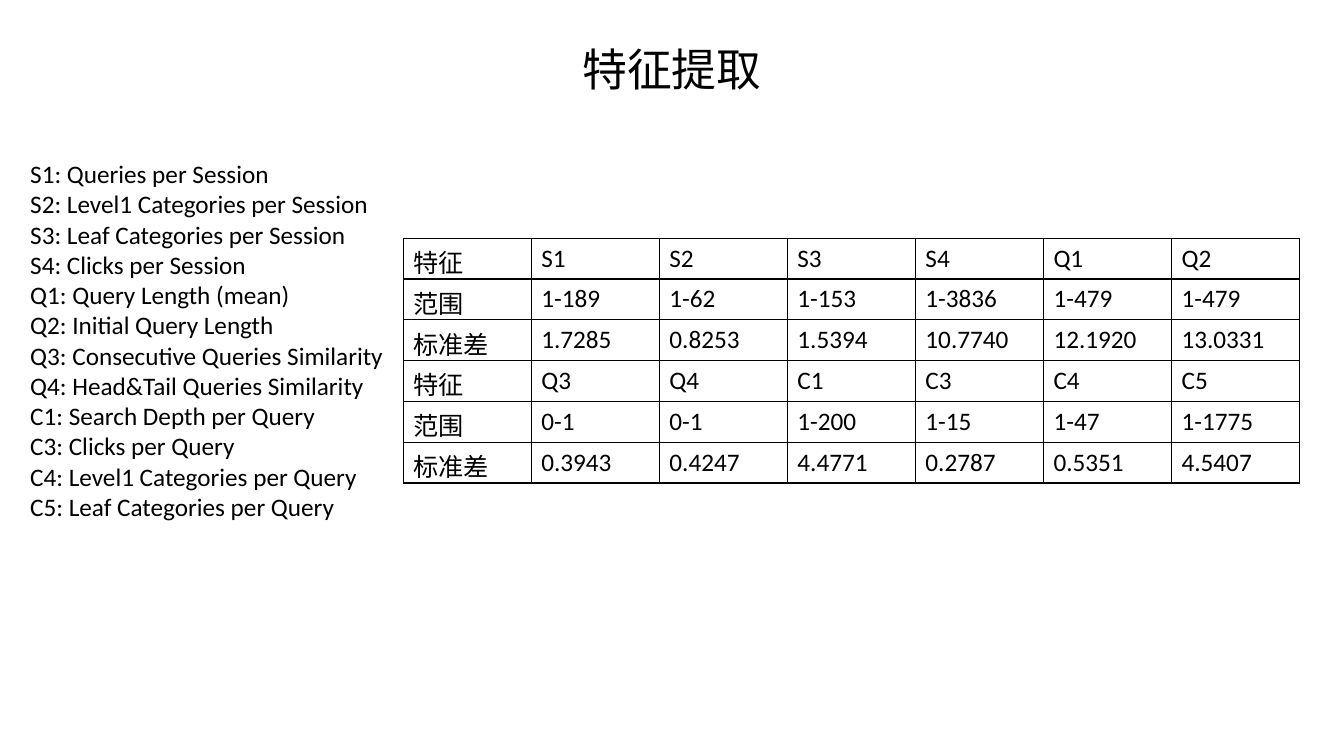
from lxml import etree
from pptx import Presentation
from pptx.dml.color import RGBColor
from pptx.enum.text import MSO_ANCHOR, MSO_AUTO_SIZE, PP_ALIGN
from pptx.oxml.ns import qn
from pptx.util import Inches, Pt

LEFT, CENTER = PP_ALIGN.LEFT, PP_ALIGN.CENTER
TOP = MSO_ANCHOR.TOP
GROW = MSO_AUTO_SIZE.SHAPE_TO_FIT_TEXT

COLORS = {"text": "000000", "border": "000000"}
WIDTH, HEIGHT = Inches(13.33), Inches(7.5)

FEATURES = [
    "S1: Queries per Session",
    "S2: Level1 Categories per Session",
    "S3: Leaf Categories per Session",
    "S4: Clicks per Session",
    "Q1: Query Length (mean)",
    "Q2: Initial Query Length",
    "Q3: Consecutive Queries Similarity",
    "Q4: Head&Tail Queries Similarity",
    "C1: Search Depth per Query",
    "C3: Clicks per Query",
    "C4: Level1 Categories per Query",
    "C5: Leaf Categories per Query",
]
STATISTICS = [
    ["特征", "S1", "S2", "S3", "S4", "Q1", "Q2"],
    ["范围", "1-189", "1-62", "1-153", "1-3836", "1-479", "1-479"],
    ["标准差", "1.7285", "0.8253", "1.5394", "10.7740", "12.1920", "13.0331"],
    ["特征", "Q3", "Q4", "C1", "C3", "C4", "C5"],
    ["范围", "0-1", "0-1", "1-200", "1-15", "1-47", "1-1775"],
    ["标准差", "0.3943", "0.4247", "4.4771", "0.2787", "0.5351", "4.5407"],
]


def area(left, top, width, height):
    """Turn shares of the slide into lengths."""
    return (round(left * WIDTH), round(top * HEIGHT),
            round(width * WIDTH), round(height * HEIGHT))


def write(frame, lines, size=18, font="Calibri", color="text", align=LEFT):
    """Fill a text frame with one plain paragraph per line."""
    for index, line in enumerate(lines):
        paragraph = frame.paragraphs[0] if index == 0 else frame.add_paragraph()
        properties = paragraph._p.get_or_add_pPr()
        properties.set("marL", "0")
        properties.set("indent", "0")
        etree.SubElement(properties, qn("a:buNone"))
        paragraph.alignment = align
        paragraph.space_before = Pt(0)
        run = paragraph.add_run()
        run.text = line
        run.font.size = Pt(size)
        run.font.name = font
        run.font.color.rgb = RGBColor.from_string(COLORS[color])


def fill_placeholder(placeholder, place, lines, **text_format):
    placeholder.left, placeholder.top, placeholder.width, placeholder.height = place
    frame = placeholder.text_frame
    frame.word_wrap = False
    frame.auto_size = GROW
    frame.vertical_anchor = TOP
    write(frame, lines, **text_format)


def outline_cell(cell, points=1):
    properties = cell._tc.get_or_add_tcPr()
    for side in ("lnL", "lnR", "lnT", "lnB"):
        line = etree.SubElement(properties, qn(f"a:{side}"), w=str(Pt(points)))
        fill = etree.SubElement(line, qn("a:solidFill"))
        etree.SubElement(fill, qn("a:srgbClr"), val=COLORS["border"])


def add_grid(slide, place, rows):
    table = slide.shapes.add_table(len(rows), len(rows[0]), *place).table
    table.first_row = table.horz_banding = False
    for row_index, row in enumerate(rows):
        for column_index, value in enumerate(row):
            cell = table.cell(row_index, column_index)
            outline_cell(cell)
            cell.fill.background()
            write(cell.text_frame, [value])


def main():
    presentation = Presentation()
    presentation.slide_width, presentation.slide_height = WIDTH, HEIGHT
    slide = presentation.slides.add_slide(presentation.slide_layouts[1])

    # Heading
    fill_placeholder(slide.shapes.title, area(0.425, 0.048, 0.15, 0.085),
                     ["特征提取"], size=32, font="Arial", align=CENTER)
    # Feature statistics
    add_grid(slide, area(0.3, 0.315, 0.667, 0.324), STATISTICS)
    # Meaning of each feature code
    fill_placeholder(slide.placeholders[1], area(0.015, 0.203, 0.285, 0.499), FEATURES)

    presentation.save("out.pptx")


if __name__ == "__main__":
    main()
